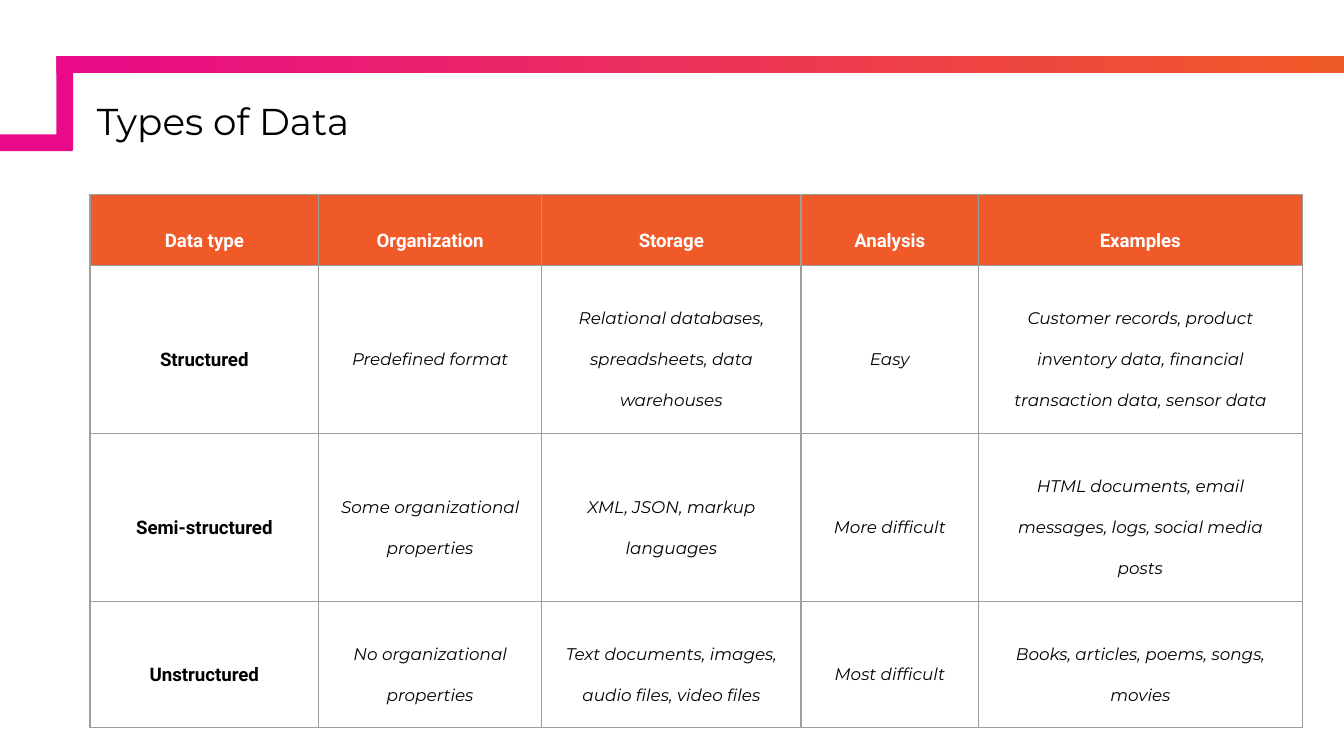
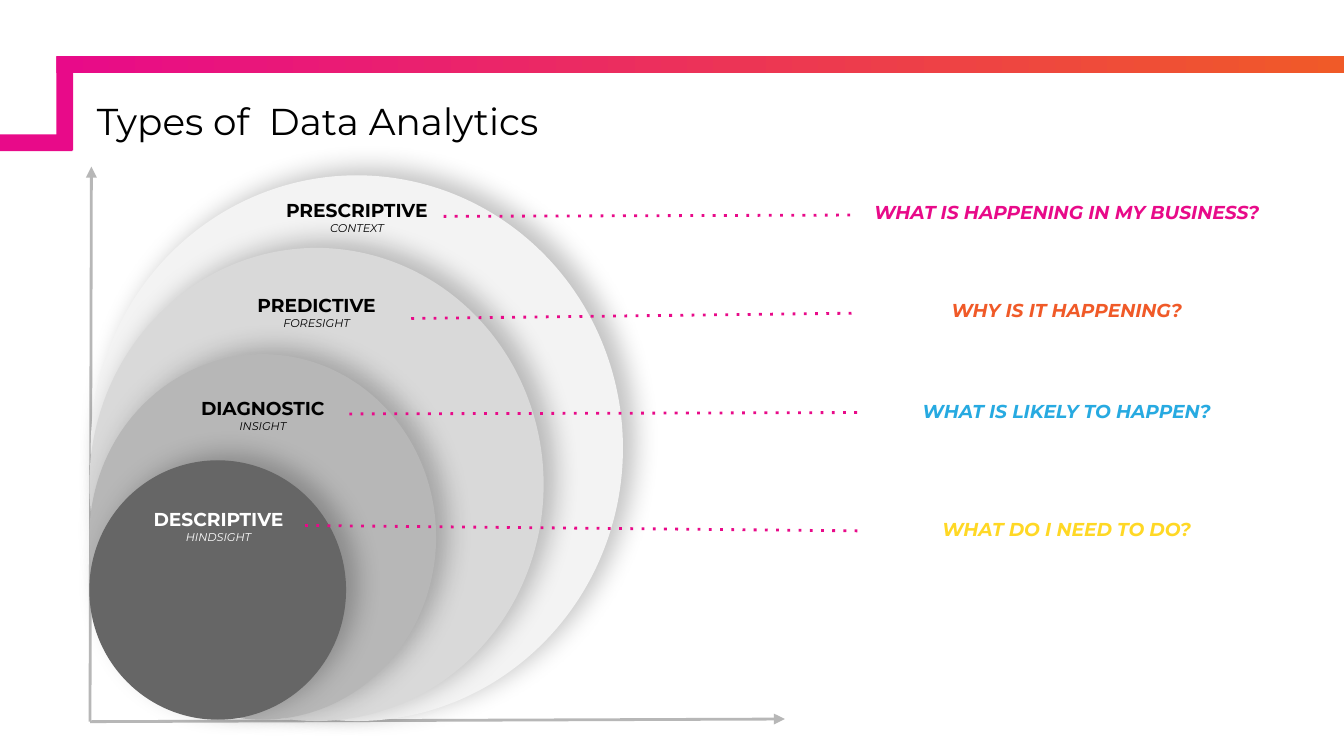
from lxml.etree import SubElement
from pptx import Presentation
from pptx.dml.color import RGBColor
from pptx.enum.shapes import MSO_CONNECTOR, MSO_SHAPE
from pptx.enum.text import MSO_ANCHOR, MSO_AUTO_SIZE, PP_ALIGN
from pptx.oxml.ns import qn
from pptx.util import Inches, Pt

rgb = RGBColor.from_string
PINK, ORANGE, BLUE, YELLOW = "E80A89", "F05A28", "27AAE1", "FFD825"
BLACK, WHITE, GREY, BORDER = "000000", "FFFFFF", "B7B7B7", "9E9E9E"
BAND = 0.125


def write(p, text, size, color, font="Montserrat", bold=False, italic=False,
          align=PP_ALIGN.CENTER, spacing=1.0):
    p.text = text
    p.alignment = align
    p.line_spacing = spacing
    for r in p.runs:
        f = r.font
        f.name, f.size, f.bold, f.italic = font, Pt(size), bold, italic
        f.color.rgb = rgb(color)


def add_line(s, x1, y1, x2, y2, color, style, value):
    """Draw a line; style is the a:ln child to add, value its preset."""
    line = s.shapes.add_connector(MSO_CONNECTOR.STRAIGHT, Inches(x1), Inches(y1),
                                  Inches(x2), Inches(y2))
    line.line.color.rgb = rgb(color)
    line.line.width = Pt(1.5)
    key = "val" if style == "prstDash" else "type"
    SubElement(line.line._get_or_add_ln(), qn("a:" + style)).set(key, value)
    SubElement(line._element.spPr, qn("a:effectLst"))


# 16:9 page
prs = Presentation()
prs.slide_width = Inches(10)
prs.slide_height = prs.slide_width * 9 // 16

# Both slides: bands and title
for title in ("Types of Data", "Types of  Data Analytics"):
    s = prs.slides.add_slide(prs.slide_layouts[5])
    for x, y, w, h in ((0.42, 0.42, 9.58, BAND),
                       (0.42, 0.42, BAND, 0.7),
                       (0, 1, 0.54, BAND)):
        band = s.shapes.add_shape(MSO_SHAPE.RECTANGLE, Inches(x), Inches(y),
                                  Inches(w), Inches(h))
        band.shadow.inherit = False
        band.line.fill.background()
        if w > 1:
            band.fill.gradient()
            band.fill.gradient_angle = 0
            for stop, color in zip(band.fill.gradient_stops, (PINK, ORANGE)):
                stop.color.rgb = rgb(color)
        else:
            band.fill.solid()
            band.fill.fore_color.rgb = rgb(PINK)

    sp = s.shapes.title
    sp.left, sp.top = Inches(0.67), Inches(0.78)
    sp.width, sp.height = Inches(9.03), Inches(0.34)
    tf = sp.text_frame
    tf.auto_size = MSO_AUTO_SIZE.NONE
    tf.vertical_anchor = MSO_ANCHOR.BOTTOM
    tf.margin_left = tf.margin_right = tf.margin_top = tf.margin_bottom = Inches(0.05)
    write(tf.paragraphs[0], title, 20, BLACK, align=PP_ALIGN.LEFT, spacing=0.9)

# Slide 1: table of data types
s = prs.slides[0]
rows = [
    ("Data type", "Organization", "Storage", "Analysis", "Examples"),
    ("Structured", "Predefined format",
     "Relational databases, spreadsheets, data warehouses", "Easy",
     "Customer records, product inventory data, financial transaction data, sensor data"),
    ("Semi-structured", "Some organizational properties",
     "XML, JSON, markup languages", "More difficult",
     "HTML documents, email messages, logs, social media posts"),
    ("Unstructured", "No organizational properties",
     "Text documents, images, audio files, video files", "Most difficult",
     "Books, articles, poems, songs, movies"),
]
col_widths = (1.7, 1.66, 1.93, 1.32, 2.41)
row_heights = (0.52, 1.25, 1.25, 0.94)
table = s.shapes.add_table(len(rows), len(col_widths), Inches(0.67), Inches(1.45),
                           Inches(sum(col_widths)), Inches(sum(row_heights))).table
table.first_row = table.horz_banding = False
for col, w in zip(table.columns, col_widths):
    col.width = Inches(w)
for row, h in zip(table.rows, row_heights):
    row.height = Inches(h)

for i, row in enumerate(rows):
    for j, text in enumerate(row):
        cell = table.cell(i, j)
        header, label = i == 0, i == 0 or j == 0
        margin = Inches(0.1 if header else 0.16)
        cell.margin_left = cell.margin_right = margin
        cell.margin_top = cell.margin_bottom = margin
        cell.vertical_anchor = MSO_ANCHOR.TOP if header else MSO_ANCHOR.MIDDLE
        write(cell.text_frame.paragraphs[0], text, 10 if label else 9,
              WHITE if header else BLACK, "Roboto" if label else "Montserrat",
              bold=label, italic=not label, spacing=2.0)
        tcPr = cell._tc.get_or_add_tcPr()
        for side in ("lnL", "lnR", "lnT", "lnB"):
            ln = SubElement(tcPr, qn("a:" + side), w=str(Pt(0.75)))
            fill = SubElement(ln, qn("a:solidFill"))
            SubElement(fill, qn("a:srgbClr"), val=BORDER)
        if label:
            cell.fill.solid()
            cell.fill.fore_color.rgb = rgb(ORANGE if header else WHITE)
        else:
            cell.fill.background()

# Slide 2: axes
s = prs.slides[1]
for x, y in ((0.68, 1.24), (5.84, 5.35)):
    add_line(s, 0.67, 5.37, x, y, GREY, "tailEnd", "triangle")

# Nested circles with soft shadows
for x, y, w, h, color in ((0.68, 1.31, 3.95, 4.05, "F3F3F3"),
                          (0.67, 1.85, 3.37, 3.51, "D9D9D9"),
                          (0.67, 2.64, 2.57, 2.71, GREY),
                          (0.67, 3.43, 1.9, 1.92, "666666")):
    circle = s.shapes.add_shape(MSO_SHAPE.OVAL, Inches(x), Inches(y),
                                Inches(w), Inches(h))
    circle.fill.solid()
    circle.fill.fore_color.rgb = circle.line.color.rgb = rgb(color)
    circle.line.width = Pt(0.75)
    circle.shadow.inherit = False
    effects = circle._element.spPr.find(qn("a:effectLst"))
    shadow = SubElement(effects, qn("a:outerShdw"), blurRad=str(Pt(13.5)),
                        dist=str(Pt(7.5)), dir=str(326 * 60000),
                        algn="bl", rotWithShape="0")
    shade = SubElement(shadow, qn("a:srgbClr"), val=BLACK)
    SubElement(shade, qn("a:alpha"), val="23000")

# Stage labels, questions and the dotted lines between them
stages = [
    ("PRESCRIPTIVE", "CONTEXT", BLACK, 2.01, 1.38,
     "WHAT IS HAPPENING IN MY BUSINESS?", PINK, 1.41, (3.3, 1.61, 1.6)),
    ("PREDICTIVE", "FORESIGHT", BLACK, 1.71, 2.09,
     "WHY IS IT HAPPENING?", ORANGE, 2.14, (3.06, 2.37, 2.33)),
    ("DIAGNOSTIC", "INSIGHT", BLACK, 1.31, 2.85,
     "WHAT IS LIKELY TO HAPPEN?", BLUE, 2.89, (2.6, 3.08, 3.07)),
    ("DESCRIPTIVE", "HINDSIGHT", WHITE, 0.98, 3.68,
     "WHAT DO I NEED TO DO?", YELLOW, 3.77, (2.27, 3.91, 3.95)),
]
for name, view, color, x, y, question, accent, question_y, (x1, y1, y2) in stages:
    for left, top, w, h in ((x, y, 1.29, 0.47), (6.38, question_y, 3.11, 0.37)):
        tf = s.shapes.add_textbox(Inches(left), Inches(top),
                                  Inches(w), Inches(h)).text_frame
        tf.word_wrap = True
        tf.auto_size = MSO_AUTO_SIZE.SHAPE_TO_FIT_TEXT
        tf.margin_left = tf.margin_right = tf.margin_top = tf.margin_bottom = Inches(0.1)
        p = tf.paragraphs[0]
        if left == x:
            write(p, name, 10, color, bold=True)
            write(tf.add_paragraph(), view, 6, color, italic=True)
        else:
            write(p, question, 10, accent, bold=True, italic=True)
    add_line(s, x1, y1, 6.38, y2, PINK, "prstDash", "dot")

prs.save("out.pptx")
